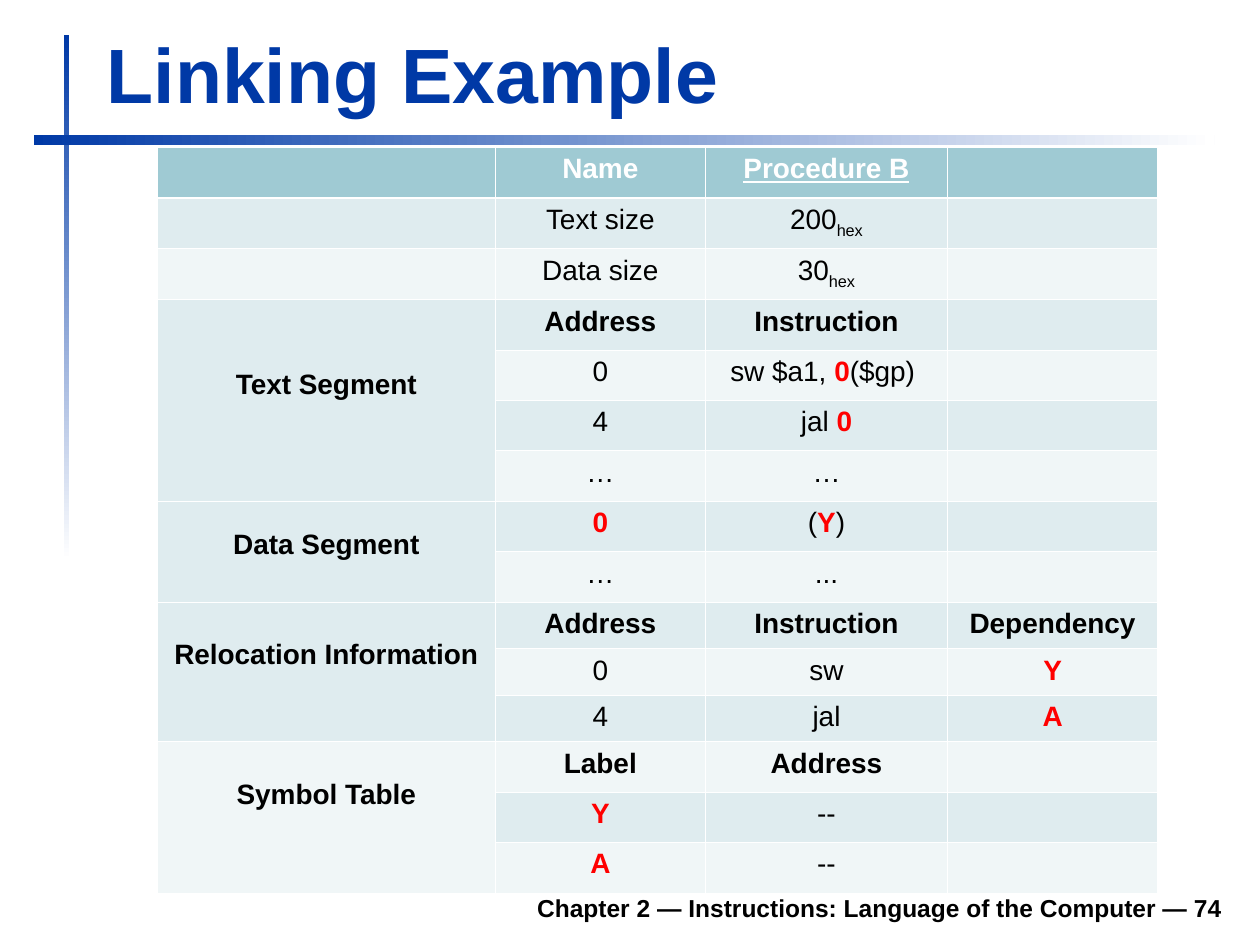
from lxml import etree
from pptx import Presentation
from pptx.dml.color import RGBColor
from pptx.enum.shapes import MSO_SHAPE
from pptx.enum.text import MSO_ANCHOR, PP_ALIGN
from pptx.oxml.ns import qn
from pptx.util import Inches, Pt

LEFT, CENTER, RIGHT = PP_ALIGN.LEFT, PP_ALIGN.CENTER, PP_ALIGN.RIGHT
RECTANGLE, BOTTOM = MSO_SHAPE.RECTANGLE, MSO_ANCHOR.BOTTOM
FONT = "Arial"
COLORS = {"blue": "0039A6", "white": "FFFFFF", "black": "000000", "red": "FF0000",
          "header": "9FCAD3", "dark band": "DFECEF", "light band": "F0F6F7"}

TITLE = "Linking Example"
FOOTER = "Chapter 2 — Instructions: Language of the Computer — 74"

# Run styles: colour, bold, underline, subscript
STYLES = {
    "plain": ("black", False, False, False),
    "bold": ("black", True, False, False),
    "red": ("red", True, False, False),
    "sub": ("black", False, False, True),
    "head": ("white", True, False, False),
    "head underlined": ("white", True, True, False),
}

# A cell is a plain string or a list of (text, style) runs
ROWS = [
    ["", [("Name", "head")], [("Procedure B", "head underlined")], ""],
    ["", "Text size", [("200", "plain"), ("hex", "sub")], ""],
    ["", "Data size", [("30", "plain"), ("hex", "sub")], ""],
    [[("Text Segment", "bold")], [("Address", "bold")], [("Instruction", "bold")], ""],
    ["", "0", [("sw $a1, ", "plain"), ("0", "red"), ("($gp) ", "plain")], ""],
    ["", "4", [("jal ", "plain"), ("0", "red")], ""],
    ["", "…", "…", ""],
    [[("Data Segment", "bold")], [("0", "red")],
     [("(", "plain"), ("Y", "red"), (")", "plain")], ""],
    ["", "…", "...", ""],
    [[("Relocation Information", "bold")], [("Address", "bold")],
     [("Instruction", "bold")], [("Dependency", "bold")]],
    ["", "0", "sw", [("Y", "red")]],
    ["", "4", "jal", [("A", "red")]],
    [[("Symbol Table", "bold")], [("Label", "bold")], [("Address", "bold")], ""],
    ["", [("Y", "red")], "--", ""],
    ["", [("A", "red")], "--", ""],
]
# First row of each section: (rows spanned, top margin in inches)
SECTIONS = {3: (4, 0.55), 7: (2, 0.22), 9: (3, 0.3), 12: (3, 0.3)}
COLUMN_WIDTHS = [2.68, 1.67, 1.92, 1.67]
ROW_HEIGHTS = [0.37 if 9 <= row <= 11 else 0.4 for row in range(len(ROWS))]
TABLE_LEFT, TABLE_TOP = 1.25, 1.17
THIN, THICK = 0.45, 1.47


def rgb(name):
    return RGBColor.from_string(COLORS[name])


def add_fading_bar(slide, box, angle):
    bar = slide.shapes.add_shape(RECTANGLE, *map(Inches, box))
    bar.shadow.inherit = False
    bar.line.fill.background()
    bar.fill.gradient()
    bar.fill.gradient_angle = angle
    for stop, name in zip(bar.fill.gradient_stops, ("blue", "white")):
        stop.color.rgb = rgb(name)


def add_text(slide, box, text, size, color, alignment):
    frame = slide.shapes.add_textbox(*map(Inches, box)).text_frame
    frame.word_wrap = True
    frame.vertical_anchor = BOTTOM
    paragraph = frame.paragraphs[0]
    paragraph.text = text
    paragraph.alignment = alignment
    font = paragraph.font
    font.name, font.size, font.bold = FONT, Pt(size), True
    font.color.rgb = rgb(color)


def set_borders(cell, widths):
    """Draw white borders; widths are in points for left, right, top, bottom."""
    properties = cell._tc.get_or_add_tcPr()
    for side, width in zip("LRTB", widths):
        line = etree.SubElement(properties, qn(f"a:ln{side}"), w=str(Pt(width)))
        fill = etree.SubElement(line, qn("a:solidFill"))
        etree.SubElement(fill, qn("a:srgbClr"), val=COLORS["white"])


def write_cell(cell, content):
    paragraph = cell.text_frame.paragraphs[0]
    paragraph.alignment = CENTER
    paragraph.font.name, paragraph.font.size = FONT, Pt(16)
    if isinstance(content, str):
        content = [(content, "plain")] if content else []
    for text, style in content:
        color, bold, underline, subscript = STYLES[style]
        run = paragraph.add_run()
        run.text = text
        run.font.bold, run.font.underline = bold, underline
        run.font.color.rgb = rgb(color)
        if subscript:
            run.font._element.set("baseline", "-25000")


def add_linking_table(slide):
    table = slide.shapes.add_table(
        len(ROWS), len(COLUMN_WIDTHS), Inches(TABLE_LEFT), Inches(TABLE_TOP),
        Inches(sum(COLUMN_WIDTHS)), Inches(sum(ROW_HEIGHTS))).table
    table.horz_banding = False
    for column, width in zip(table.columns, COLUMN_WIDTHS):
        column.width = Inches(width)
    for row, height in zip(table.rows, ROW_HEIGHTS):
        row.height = Inches(height)
    for row, contents in enumerate(ROWS):
        band = "header" if row == 0 else "dark band" if row % 2 else "light band"
        top = THICK if row == 1 else THIN
        bottom = THICK if row == 0 else THIN
        for column, content in enumerate(contents):
            cell = table.cell(row, column)
            set_borders(cell, (THIN, THIN, top, bottom))
            cell.fill.solid()
            cell.fill.fore_color.rgb = rgb(band)
            write_cell(cell, content)
    for row, (span, margin) in SECTIONS.items():
        section = table.cell(row, 0)
        section.merge(table.cell(row + span - 1, 0))
        section.margin_top = Inches(margin)


def main():
    presentation = Presentation()
    presentation.slide_width, presentation.slide_height = Inches(10), Inches(7.5)
    slide = presentation.slides.add_slide(presentation.slide_layouts[6])
    add_fading_bar(slide, (0.51, 0.28, 0.04, 4.17), 270)
    add_fading_bar(slide, (0.27, 1.07, 9.37, 0.08), 0)
    add_text(slide, (1.85, 6.98, 7.95, 0.39), FOOTER, 14, "black", RIGHT)
    add_text(slide, (0.75, 0.16, 9.03, 0.83), TITLE, 44, "blue", LEFT)
    add_linking_table(slide)
    presentation.save("out.pptx")


if __name__ == "__main__":
    main()
